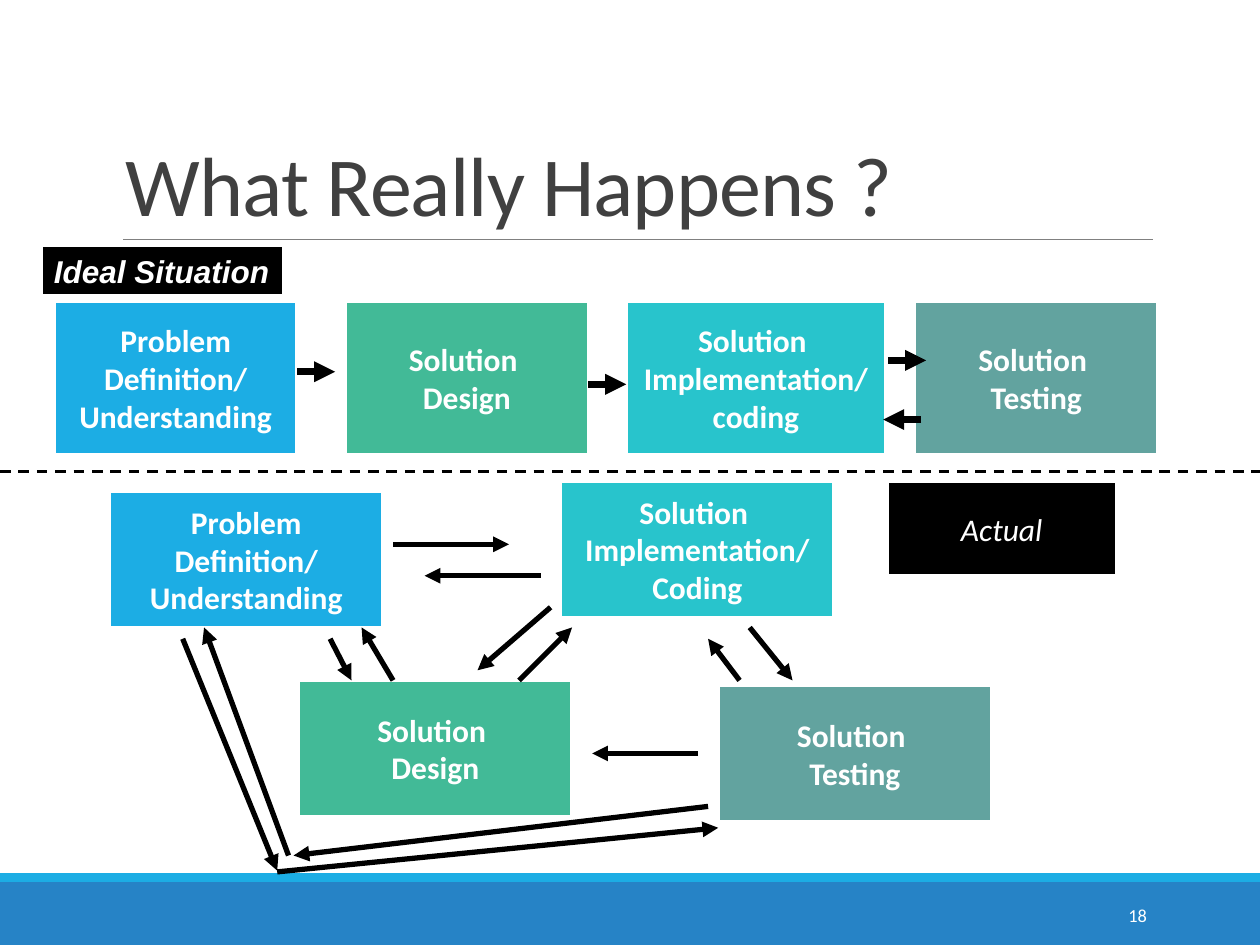
from dataclasses import dataclass

from lxml import etree
from pptx import Presentation
from pptx.dml.color import RGBColor
from pptx.enum.dml import MSO_LINE
from pptx.enum.shapes import MSO_CONNECTOR, MSO_SHAPE
from pptx.enum.text import MSO_ANCHOR, PP_ALIGN
from pptx.oxml.ns import qn
from pptx.util import Inches, Pt

RECTANGLE = MSO_SHAPE.RECTANGLE
STRAIGHT = MSO_CONNECTOR.STRAIGHT
DASH = MSO_LINE.DASH
TOP, MIDDLE, BOTTOM = MSO_ANCHOR.TOP, MSO_ANCHOR.MIDDLE, MSO_ANCHOR.BOTTOM
LEFT, CENTER, RIGHT = PP_ALIGN.LEFT, PP_ALIGN.CENTER, PP_ALIGN.RIGHT


@dataclass(frozen=True)
class Theme:
    font: str = "Calibri"
    label_font: str = "Arial"
    title_size: float = 48
    body_size: float = 18
    number_size: float = 10.5
    title: str = "404040"
    rule: str = "808080"
    black: str = "000000"
    white: str = "FFFFFF"
    footer: str = "2683C6"
    problem: str = "1CADE4"
    design: str = "42BA97"
    coding: str = "28C4CC"
    testing: str = "62A39F"


class SlideBuilder:
    def __init__(self, slide, theme):
        self.slide = slide
        self.theme = theme

    def fill_text(self, frame, text, size, color, align=CENTER, anchor=MIDDLE,
                  font=None, bold=False, italic=False, wrap=True):
        frame.text = text
        frame.word_wrap = wrap
        frame.vertical_anchor = anchor
        for paragraph in frame.paragraphs:
            paragraph.alignment = align
            for run in paragraph.runs:
                run.font.name = font or self.theme.font
                run.font.size = Pt(size)
                run.font.bold = bold
                run.font.italic = italic
                run.font.color.rgb = RGBColor.from_string(color)

    def text(self, box, text, size, color, align, anchor):
        frame = self.slide.shapes.add_textbox(*map(Inches, box)).text_frame
        self.fill_text(frame, text, size, color, align, anchor)
        return frame

    def band(self, box, fill):
        band = self.slide.shapes.add_shape(RECTANGLE, *map(Inches, box))
        band.shadow.inherit = False
        band.fill.solid()
        band.fill.fore_color.rgb = RGBColor.from_string(fill)
        band.line.fill.background()
        return band

    def box(self, box, text, fill, **style):
        shape = self.band(box, fill)
        shape.line.color.rgb = RGBColor.from_string(self.theme.white)
        shape.line.width = Pt(2)
        self.fill_text(shape.text_frame, text, self.theme.body_size,
                       self.theme.white, **style)

    def line(self, start, end, color, width):
        line = self.slide.shapes.add_connector(
            STRAIGHT, *map(Inches, (*start, *end)))
        line.line.color.rgb = RGBColor.from_string(color)
        line.line.width = Pt(width)
        properties = line._element.spPr
        etree.SubElement(properties, qn("a:effectLst"))
        return line

    def arrow(self, start, end, width):
        arrow = self.line(start, end, self.theme.black, width)
        outline = arrow._element.spPr.find(qn("a:ln"))
        etree.SubElement(outline, qn("a:tailEnd"), type="triangle")


def main():
    theme = Theme()
    deck = Presentation()
    deck.slide_width, deck.slide_height = Inches(10), Inches(7.5)
    builder = SlideBuilder(deck.slides.add_slide(deck.slide_layouts[6]), theme)

    # Footer bands, title and page number
    builder.band((0, 7, 10, 0.5), theme.footer)
    builder.band((0, 6.93, 10, 0.07), theme.problem)
    builder.line((0.98, 1.9), (9.15, 1.9), theme.rule, 0.5)
    title = builder.text((0.9, 0.31, 8.25, 1.59), "What Really Happens ?",
                         theme.title_size, theme.title, LEFT, BOTTOM)
    title.paragraphs[0].line_spacing = 0.85
    title.paragraphs[0].runs[0].font._element.set("spc", "-50")
    builder.text((8.12, 7.06, 1.08, 0.4), "18", theme.number_size,
                 theme.white, RIGHT, MIDDLE)

    # Step boxes: text, fill, ideal left and width, actual left and top
    steps = [
        ("Problem\nDefinition/\nUnderstanding", theme.problem,
         0.43, 1.93, 0.87, 3.9),
        ("Solution \nDesign", theme.design, 2.74, 1.93, 2.37, 5.4),
        ("Solution \nImplementation/\ncoding", theme.coding,
         4.97, 2.06, 4.45, 3.82),
        ("Solution \nTesting", theme.testing, 7.26, 1.93, 5.7, 5.44),
    ]

    # Ideal situation: a straight sequence
    builder.box((0.33, 1.95, 1.92, 0.4), "Ideal Situation", theme.black,
                align=LEFT, anchor=TOP, font=theme.label_font,
                bold=True, italic=True)
    for text, fill, left, width, _, _ in steps:
        builder.box((left, 2.39, width, 1.22), text, fill,
                    bold=True, wrap=False)
    for x, y, length in [(2.36, 2.95, 0.3), (4.67, 3.05, 0.3),
                         (7.05, 2.86, 0.3), (7.31, 3.33, -0.3)]:
        builder.arrow((x, y), (x + length, y), 4)

    # Divider between the two situations
    divider = builder.line((0, 3.74), (10, 3.74), theme.black, 1.5)
    divider.line.dash_style = DASH

    # Actual situation: steps that lead back to each other
    for text, fill, _, _, left, top in steps:
        builder.box((left, top, 2.17, 1.08), text.replace("coding", "Coding"),
                    fill, bold=True, wrap=False)
    feedback_arrows = [
        # Problem and coding
        ((3.12, 4.32), (4.04, 4.32)), ((4.29, 4.57), (3.37, 4.57)),
        # Problem and design
        ((2.62, 5.07), (2.79, 5.4)), ((3.12, 5.4), (2.87, 4.98)),
        # Design and coding
        ((4.12, 5.4), (4.54, 4.98)), ((4.37, 4.82), (3.79, 5.32)),
        # Coding and testing
        ((5.95, 4.98), (6.29, 5.4)), ((5.87, 5.4), (5.62, 5.07)),
        # Testing to design
        ((5.54, 5.98), (4.7, 5.98)),
        # Testing back to problem
        ((5.62, 6.4), (2.33, 6.79)), ((2.29, 6.79), (1.62, 4.98)),
        # Problem to testing
        ((1.45, 5.07), (2.2, 6.91)), ((2.2, 6.92), (5.7, 6.57)),
    ]
    for start, end in feedback_arrows:
        builder.arrow(start, end, 3)
    builder.box((7.04, 3.82, 1.82, 0.75), "Actual", theme.black, italic=True)

    deck.save("out.pptx")


if __name__ == "__main__":
    main()
